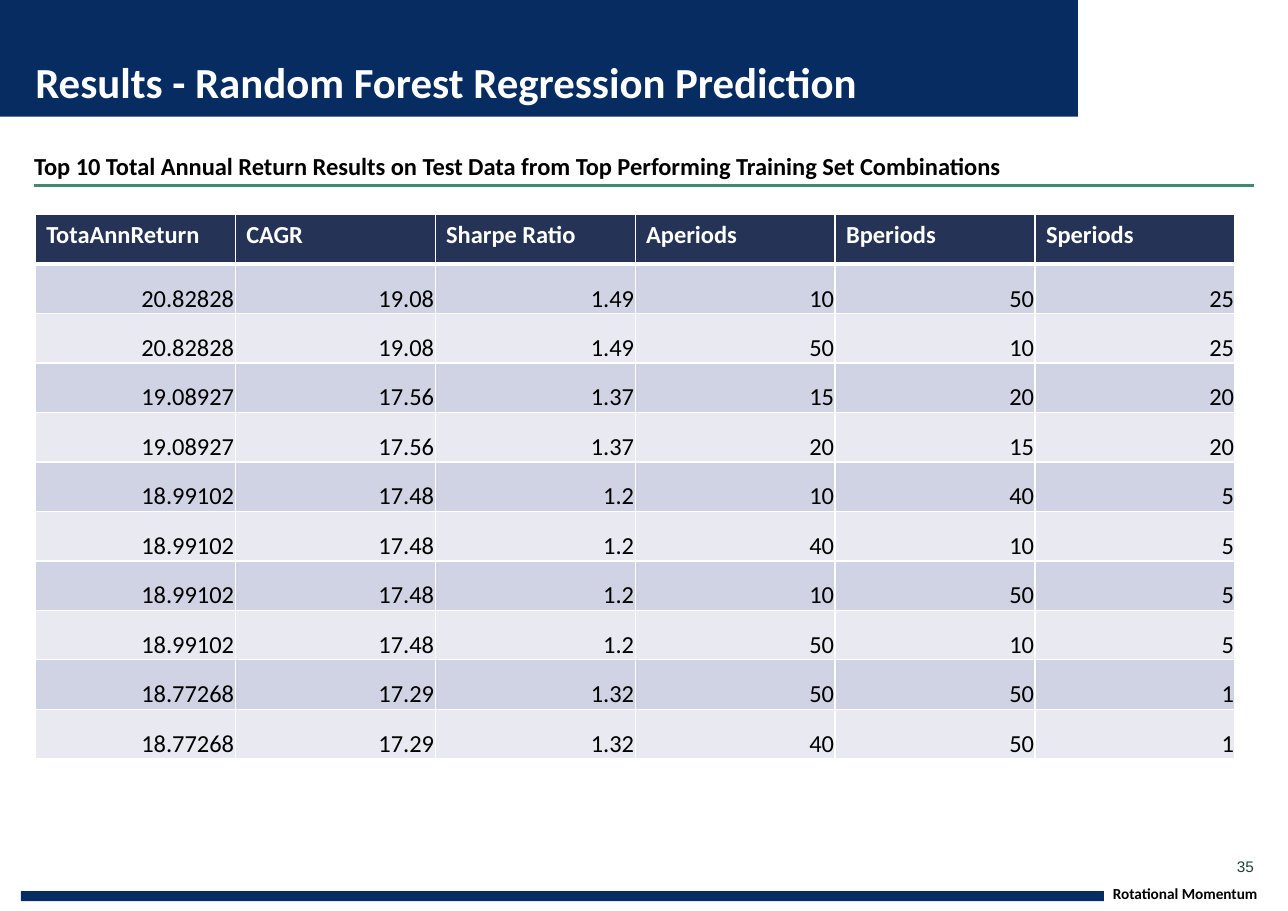
"""Build the slide with the random forest regression results table."""
from dataclasses import dataclass

from lxml.etree import SubElement
from pptx import Presentation
from pptx.dml.color import RGBColor
from pptx.enum.shapes import MSO_CONNECTOR as Connector, MSO_SHAPE as Shape
from pptx.enum.text import MSO_ANCHOR as Anchor, PP_ALIGN as Align
from pptx.oxml import parse_xml
from pptx.oxml.ns import nsdecls, qn
from pptx.util import Inches, Pt


@dataclass(frozen=True)
class Theme:
    navy: str = "072C62"
    green: str = "408B70"
    white: str = "FFFFFF"
    black: str = "000000"
    page_number: str = "234035"
    header: str = "253356"
    bands: tuple = ("D0D3E3", "E9EAF1")
    font: str = "Calibri"
    number_font: str = "Arial"
    title_size: int = 28
    body_size: int = 16
    small_size: int = 10


HEADERS = ("TotaAnnReturn", "CAGR", "Sharpe Ratio", "Aperiods", "Bperiods", "Speriods")
RESULTS = (
    ("20.82828", "19.08", "1.49", "10", "50", "25"),
    ("20.82828", "19.08", "1.49", "50", "10", "25"),
    ("19.08927", "17.56", "1.37", "15", "20", "20"),
    ("19.08927", "17.56", "1.37", "20", "15", "20"),
    ("18.99102", "17.48", "1.2", "10", "40", "5"),
    ("18.99102", "17.48", "1.2", "40", "10", "5"),
    ("18.99102", "17.48", "1.2", "10", "50", "5"),
    ("18.99102", "17.48", "1.2", "50", "10", "5"),
    ("18.77268", "17.29", "1.32", "50", "50", "1"),
    ("18.77268", "17.29", "1.32", "40", "50", "1"),
)


def write_text(frame, text, *, font, size, color, bold=False, align=Align.LEFT, line_spacing=1.0):
    paragraph = frame.paragraphs[0]
    paragraph.alignment = align
    paragraph.line_spacing = line_spacing
    paragraph.space_before = Pt(0)
    run = paragraph.add_run()
    run.text = text
    run.font.name = font
    run.font.size = Pt(size)
    run.font.bold = bold
    run.font.color.rgb = RGBColor.from_string(color)


def set_fill(item, color):
    item.fill.solid()
    item.fill.fore_color.rgb = RGBColor.from_string(color)


def set_borders(cell, color, top=1, bottom=1):
    properties = cell._tc.get_or_add_tcPr()
    sides = (("lnL", 1), ("lnR", 1), ("lnT", top), ("lnB", bottom))
    for index, (side, width) in enumerate(sides):
        properties.insert(index, parse_xml(
            f'<a:{side} {nsdecls("a")} w="{Pt(width)}"><a:solidFill>'
            f'<a:srgbClr val="{color}"/></a:solidFill></a:{side}>'))


class SlideBuilder:
    def __init__(self, slide, theme):
        self.slide = slide
        self.theme = theme

    def block(self, left, top, width, height, color, line=None):
        shape = self.slide.shapes.add_shape(
            Shape.RECTANGLE, Inches(left), Inches(top), Inches(width), Inches(height))
        shape.shadow.inherit = False
        set_fill(shape, color)
        if line:
            shape.line.color.rgb = RGBColor.from_string(line)
            shape.line.width = Pt(2)
        else:
            shape.line.fill.background()

    def rule(self, left, top, width, color):
        line = self.slide.shapes.add_connector(
            Connector.STRAIGHT, Inches(left), Inches(top), Inches(left + width), Inches(top))
        line.line.color.rgb = RGBColor.from_string(color)
        line.line.width = Pt(2)
        SubElement(line._element.spPr, qn("a:effectLst"))

    def fill_frame(self, shape, text, anchor, **style):
        frame = shape.text_frame
        frame.word_wrap = True
        frame.vertical_anchor = anchor
        frame.margin_left = frame.margin_top = frame.margin_right = frame.margin_bottom = 0
        write_text(frame, text, **style)

    def title(self, text, left, top, width, height):
        title = self.slide.shapes.title
        title.left, title.top = Inches(left), Inches(top)
        title.width, title.height = Inches(width), Inches(height)
        title.element.getparent().append(title.element)
        self.fill_frame(title, text, Anchor.BOTTOM, font=self.theme.font,
                        size=self.theme.title_size, color=self.theme.white, bold=True)

    def label(self, text, left, top, width, height, anchor=Anchor.BOTTOM, **style):
        box = self.slide.shapes.add_textbox(
            Inches(left), Inches(top), Inches(width), Inches(height))
        self.fill_frame(box, text, anchor, **style)

    def table(self, headers, rows, left, top, width, height):
        theme = self.theme
        table = self.slide.shapes.add_table(
            len(rows) + 1, len(headers), Inches(left), Inches(top),
            Inches(width), Inches(height)).table
        for column, text in enumerate(headers):
            cell = table.cell(0, column)
            set_fill(cell, theme.header)
            set_borders(cell, theme.white, bottom=3)
            write_text(cell.text_frame, text, font=theme.font, size=theme.body_size,
                       color=theme.white, bold=True)
        for index, values in enumerate(rows):
            for column, text in enumerate(values):
                cell = table.cell(index + 1, column)
                set_fill(cell, theme.bands[index % 2])
                set_borders(cell, theme.white, top=1 if index else 3)
                cell.vertical_anchor = Anchor.BOTTOM
                cell.margin_left = cell.margin_top = cell.margin_right = Inches(0.01)
                cell.margin_bottom = 0
                write_text(cell.text_frame, text, font=theme.font, size=theme.body_size,
                           color=theme.black, align=Align.RIGHT)


def main():
    theme = Theme()
    presentation = Presentation()
    presentation.slide_width, presentation.slide_height = Inches(11.69), Inches(8.27)
    slide = presentation.slides.add_slide(presentation.slide_layouts[5])
    builder = SlideBuilder(slide, theme)

    builder.block(0, 0, 11.69, 1.06, theme.navy)
    builder.block(9.8, 0, 1.89, 1.06, theme.white, line=theme.white)
    builder.block(0.19, 8.09, 9.83, 0.09, theme.navy)
    builder.label("Rotational Momentum", 10.1, 8.02, 1.59, 0.17, font=theme.font,
                  size=theme.small_size, color=theme.black, bold=True)
    builder.title("Results - Random Forest Regression Prediction", 0.32, 0.5, 9.49, 0.47)
    builder.label("35", 11.08, 7.78, 0.3, 0.17, Anchor.MIDDLE, font=theme.number_font,
                  size=theme.small_size, color=theme.page_number, align=Align.RIGHT)
    builder.table(HEADERS, RESULTS, 0.32, 1.95, 10.89, 4.94)
    builder.label("Top 10 Total Annual Return Results on Test Data from Top Performing "
                  "Training Set Combinations", 0.31, 1.36, 11.07, 0.28, font=theme.font,
                  size=theme.body_size, color=theme.black, bold=True, line_spacing=1.1)
    builder.rule(0.31, 1.68, 11.07, theme.green)
    presentation.save("out.pptx")


if __name__ == "__main__":
    main()
